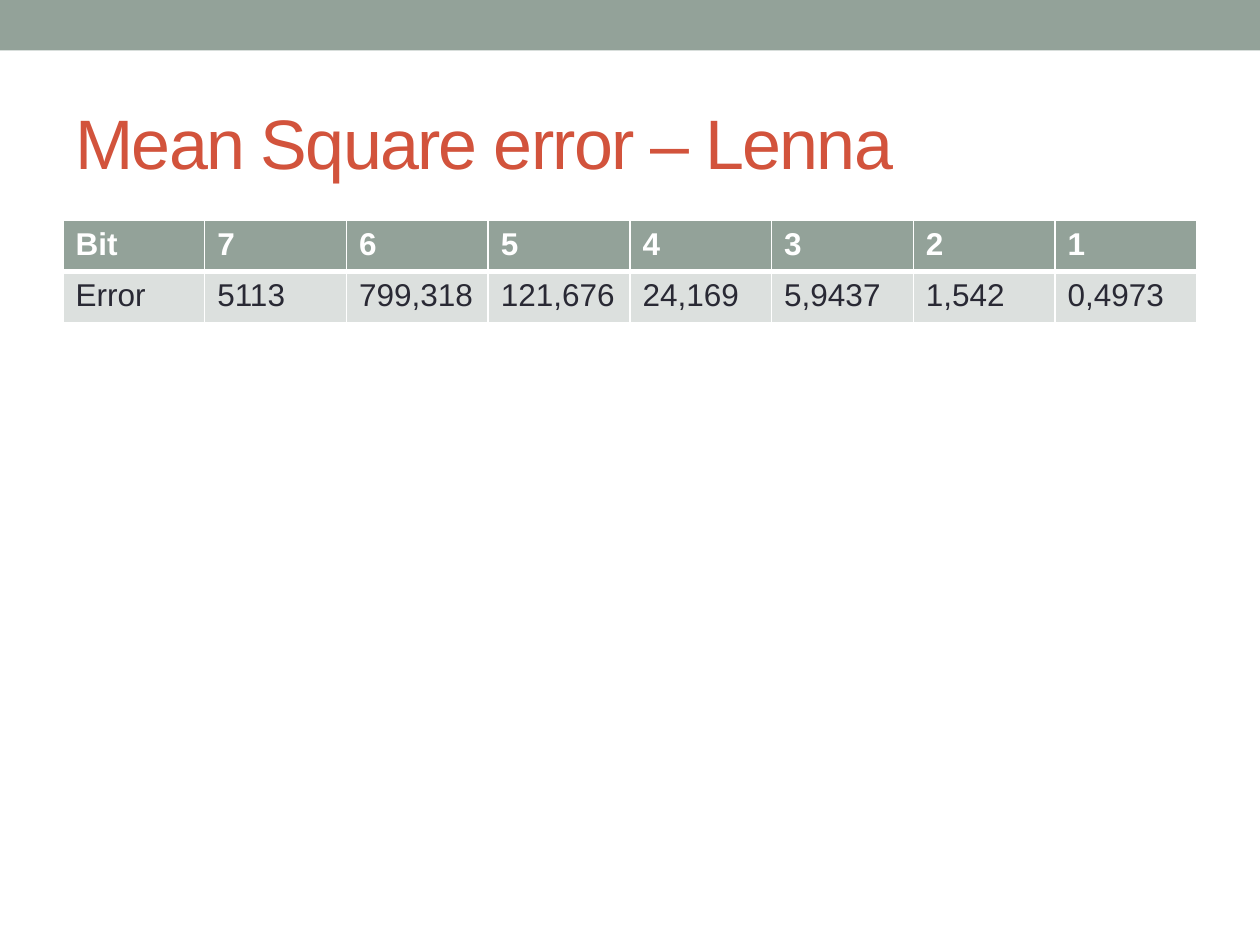
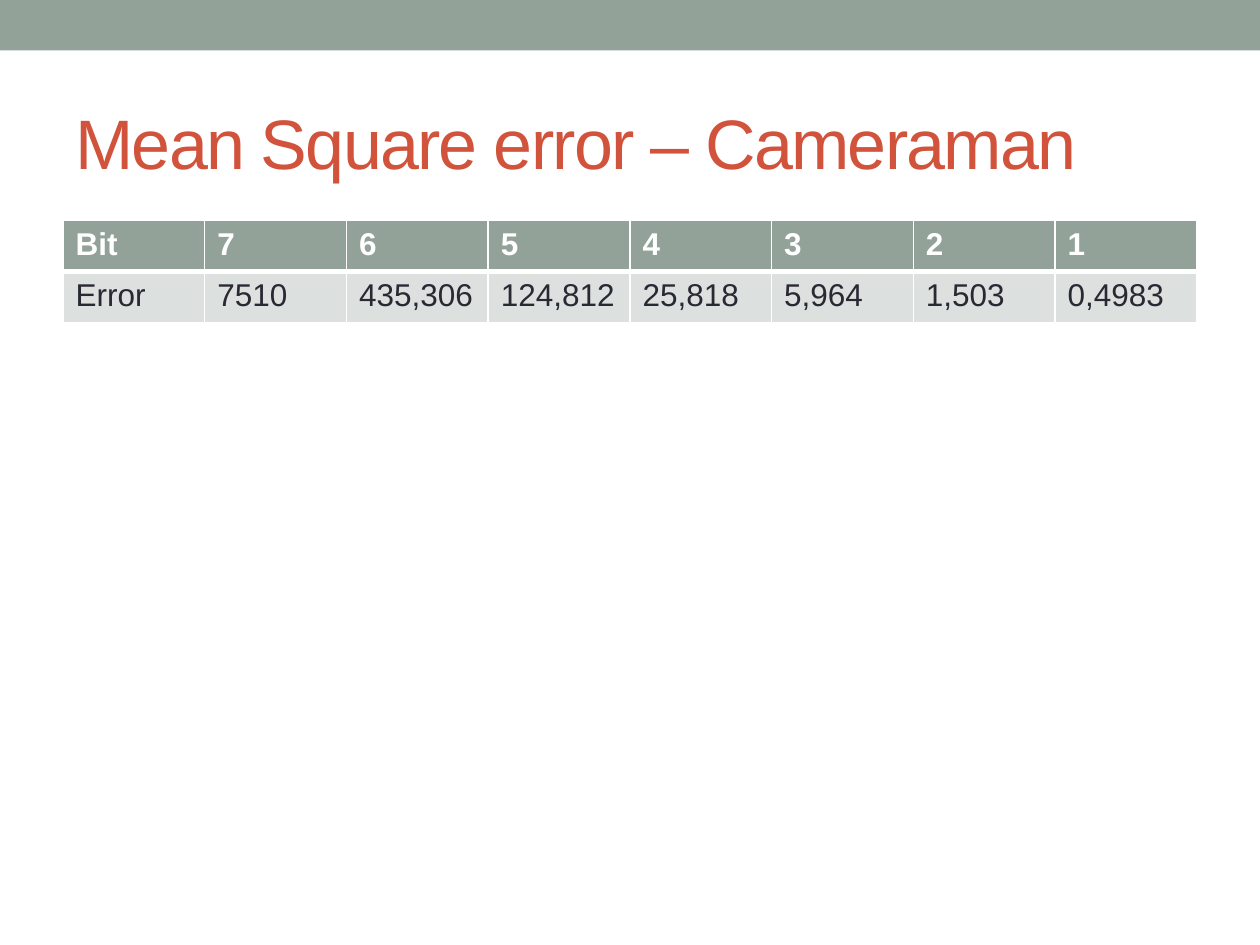
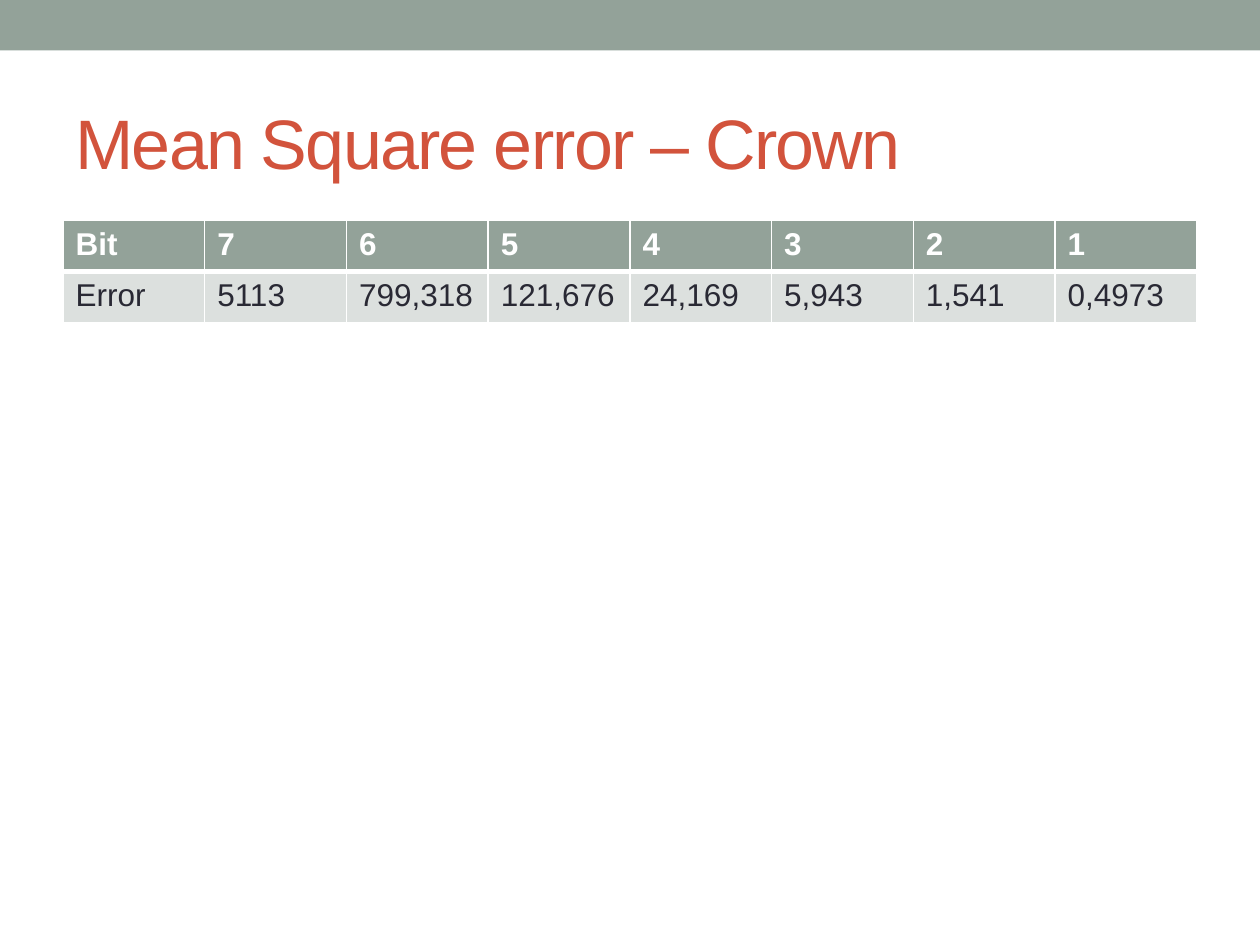
from dataclasses import dataclass

from lxml import etree
from pptx import Presentation
from pptx import util as u
from pptx.dml.color import RGBColor
from pptx.enum import shapes, text
from pptx.oxml import ns

BITS = ["Bit", "7", "6", "5", "4", "3", "2", "1"]
RESULTS = [
    ("Lenna", ["5113", "799,318", "121,676", "24,169", "5,9437", "1,542", "0,4973"]),
    ("Cameraman", ["7510", "435,306", "124,812", "25,818", "5,964", "1,503", "0,4983"]),
    ("Crown", ["5113", "799,318", "121,676", "24,169", "5,943", "1,541", "0,4973"]),
]


@dataclass(frozen=True)
class Theme:
    font: str = "Arial"
    sage: str = "93A299"
    pale: str = "DCE0DE"
    red: str = "D2533C"
    ink: str = "292934"
    white: str = "FFFFFF"
    title_size: int = 40
    cell_size: int = 18
    thin: int = 1
    thick: int = 3


THEME = Theme()
SLIDE_WIDTH, SLIDE_HEIGHT = 10, 7.5
MARGIN = 0.5
CONTENT_WIDTH = SLIDE_WIDTH - 2 * MARGIN
BAND_HEIGHT = 0.4
TITLE_TOP, TITLE_HEIGHT = 0.58, 1.08
TABLE_TOP, ROW_HEIGHT = 1.75, 0.405


def write(frame, content, *, size, color, bold=False, spacing=None,
          anchor=text.MSO_ANCHOR.TOP):
    frame.word_wrap = True
    frame.vertical_anchor = anchor
    run = frame.paragraphs[0].add_run()
    run.text = content
    font = run.font
    font.name = THEME.font
    font.size = u.Pt(size)
    font.bold = bold
    font.color.rgb = RGBColor.from_string(color)
    if spacing is not None:
        font._element.set("spc", str(spacing * 100))


def fill(target, color):
    target.fill.solid()
    target.fill.fore_color.rgb = RGBColor.from_string(color)


def set_borders(cell, top, bottom):
    properties = cell._tc.get_or_add_tcPr()
    widths = {"lnL": THEME.thin, "lnR": THEME.thin, "lnT": top, "lnB": bottom}
    for index, (side, width) in enumerate(widths.items()):
        line = etree.Element(ns.qn(f"a:{side}"), w=str(u.Pt(width)))
        solid = etree.SubElement(line, ns.qn("a:solidFill"))
        etree.SubElement(solid, ns.qn("a:srgbClr"), val=THEME.white)
        properties.insert(index, line)


def add_band(slide):
    band = slide.shapes.add_shape(
        shapes.MSO_SHAPE.RECTANGLE, 0, 0, u.Inches(SLIDE_WIDTH), u.Inches(BAND_HEIGHT))
    band.shadow.inherit = False
    fill(band, THEME.sage)
    band.line.fill.background()


def add_title(slide, content):
    title = slide.shapes.add_textbox(
        u.Inches(MARGIN), u.Inches(TITLE_TOP),
        u.Inches(CONTENT_WIDTH), u.Inches(TITLE_HEIGHT))
    write(title.text_frame, content, size=THEME.title_size, color=THEME.red,
          spacing=-1, anchor=text.MSO_ANCHOR.MIDDLE)


def add_error_table(slide, rows):
    table = slide.shapes.add_table(
        len(rows), len(BITS), u.Inches(MARGIN), u.Inches(TABLE_TOP),
        u.Inches(CONTENT_WIDTH), u.Inches(ROW_HEIGHT * len(rows))).table
    for row_index, values in enumerate(rows):
        header = row_index == 0
        for column_index, value in enumerate(values):
            cell = table.cell(row_index, column_index)
            fill(cell, THEME.sage if header else THEME.pale)
            set_borders(cell, top=THEME.thin if header else THEME.thick,
                        bottom=THEME.thick if header else THEME.thin)
            write(cell.text_frame, value, size=THEME.cell_size, bold=header,
                  color=THEME.white if header else THEME.ink)


def main():
    presentation = Presentation()
    presentation.slide_width = u.Inches(SLIDE_WIDTH)
    presentation.slide_height = u.Inches(SLIDE_HEIGHT)
    for subject, errors in RESULTS:
        slide = presentation.slides.add_slide(presentation.slide_layouts[6])
        add_band(slide)
        add_title(slide, f"Mean Square error – {subject}")
        add_error_table(slide, [BITS, ["Error", *errors]])
    presentation.save("out.pptx")


if __name__ == "__main__":
    main()
